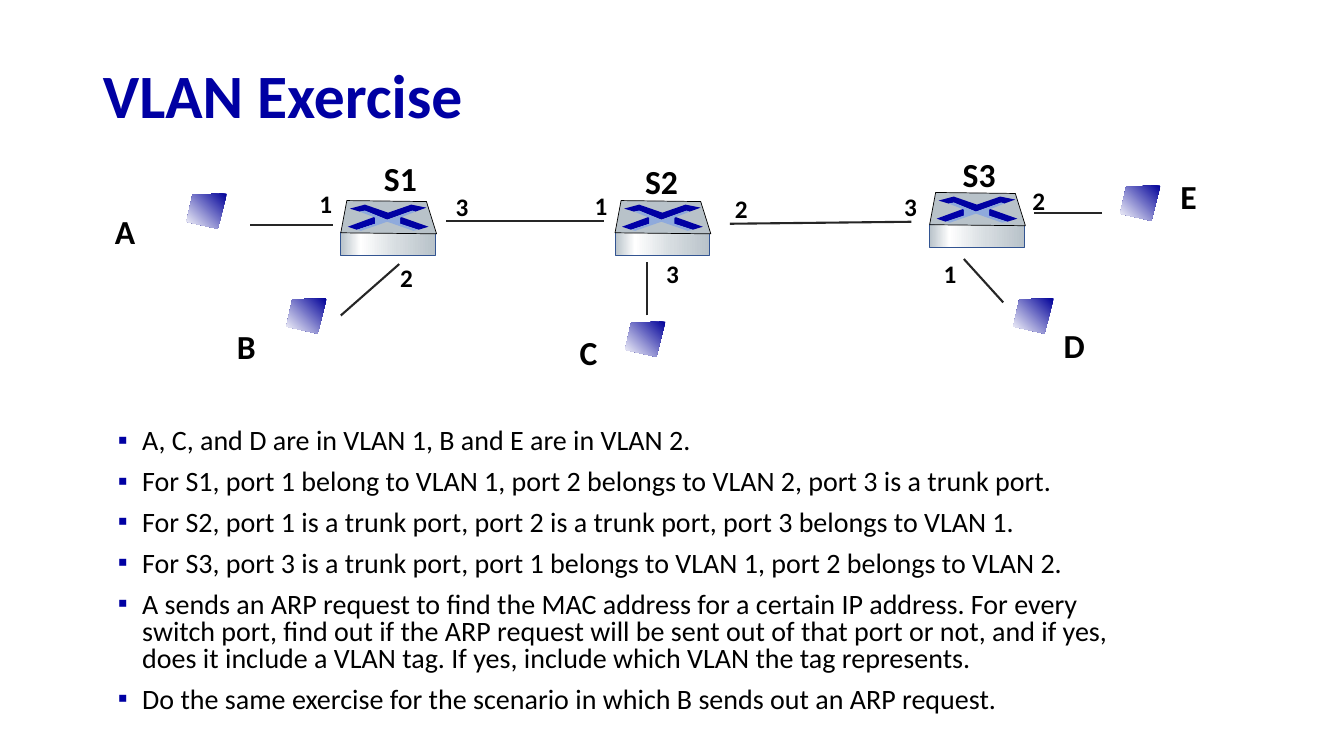
from lxml.etree import SubElement
from pptx import Presentation
from pptx.dml.color import RGBColor
from pptx.enum.shapes import MSO_CONNECTOR, MSO_SHAPE
from pptx.enum.text import MSO_ANCHOR, MSO_AUTO_SIZE, PP_ALIGN
from pptx.oxml.ns import qn
from pptx.util import Inches, Pt

FONT = "Calibri"
COLORS = {
    "title": "0000A3", "text": "000000", "wire": "262626",
    "host": "000099", "white": "FFFFFF", "lid": "B8C2C9",
    "shine": "D6DCE0", "edge": "325491", "arrow": "0000A3",
    "dark": "0000A8", "cross": "8FAADC",
}

HOST = [(0.4, 0), (0.06, 0.01), (0, 0.28), (0.31, 0.35)]
LID = [(0, 0.32), (0.06, 0), (0.85, 0.01), (0.95, 0.33)]
TOP = [(0.7, 0.04), (0.85, 0.07), (0.74, 0.11), (0.71, 0.1), (0.46, 0.19),
       (0.24, 0.1), (0.19, 0.11), (0.09, 0.08), (0.24, 0.04), (0.47, 0.12)]
RIGHT = [(0.59, 0.16), (0.87, 0.26), (0.77, 0.29), (0.58, 0.23)]
LEFT = [(0.34, 0.16), (0.34, 0.23), (0.16, 0.29), (0.07, 0.26)]
CROSS = [(0.19, 0.11), (0.24, 0.1), (0.46, 0.19), (0.71, 0.1), (0.74, 0.11),
         (0.59, 0.17), (0.59, 0.23), (0.77, 0.29), (0.72, 0.3), (0.46, 0.21),
         (0.2, 0.3), (0.16, 0.29), (0.34, 0.23), (0.34, 0.17)]

HOSTS = [(1.85, 1.92), (2.84, 2.96), (6.2, 3.19), (10.05, 2.96), (11.11, 1.84)]
SWITCHES = [(3.38, 1.99), (6.1, 1.99), (9.22, 1.91)]
WIRES = [
    (3.3, 2.23, 2.48, 2.23), (3.96, 2.62, 3.38, 3.13),
    (5.99, 2.19, 4.42, 2.19), (9.04, 2.2, 7.24, 2.22),
    (9.95, 3, 9.56, 2.57), (10.93, 2.11, 10.26, 2.11),
    (6.42, 3.13, 6.42, 2.6),
]
PORTS = [
    ("1", 3.07, 1.82), ("2", 3.87, 2.55), ("3", 4.42, 1.85),
    ("1", 5.8, 1.84), ("2", 7.19, 1.87), ("3", 6.51, 2.51),
    ("3", 8.87, 1.85), ("1", 9.26, 2.51), ("2", 10.14, 1.79),
]
NAMES = [
    ("A", 1.04, 2.04), ("B", 2.25, 3.18), ("S1", 3.71, 1.52),
    ("S2", 6.3, 1.55), ("S3", 9.45, 1.48), ("C", 5.65, 3.24),
    ("D", 10.45, 3.17), ("E", 11.61, 1.7),
]
TASKS = [
    "A, C, and D are in VLAN 1, B and E are in VLAN 2.",
    "For S1, port 1 belong to VLAN 1, port 2 belongs to VLAN 2, port 3 is a trunk port.",
    "For S2, port 1 is a trunk port, port 2 is a trunk port, port 3 belongs to VLAN 1.",
    "For S3, port 3 is a trunk port, port 1 belongs to VLAN 1, port 2 belongs to VLAN 2.",
    "A sends an ARP request to find the MAC address for a certain IP address. "
    "For every switch port, find out if the ARP request will be sent out of that "
    "port or not, and if yes, does it include a VLAN tag. If yes, include which "
    "VLAN the tag represents.",
    "Do the same exercise for the scenario in which B sends out an ARP request.",
]


def rgb(name):
    return RGBColor.from_string(COLORS[name])


def write(par, text, size, color="text", bold=False, space=None, before=0):
    par.alignment = PP_ALIGN.LEFT
    par.space_before = Pt(before)
    if space:
        par.line_spacing = space
    run = par.add_run()
    run.text = text
    font = run.font
    font.name, font.size, font.bold = FONT, Pt(size), bold
    font.color.rgb = rgb(color)


def place(shape, left, top, width, height):
    shape.left, shape.top = Inches(left), Inches(top)
    shape.width, shape.height = Inches(width), Inches(height)


def shade(shape, stops, angle):
    """Fill with a gradient of (percent, colour) stops."""
    shape.fill.gradient()
    shape.fill.gradient_angle = angle
    ramp = shape._element.spPr.find(".//" + qn("a:gsLst"))
    for old in list(ramp):
        ramp.remove(old)
    for spot, color in stops:
        stop = SubElement(ramp, qn("a:gs"), pos=str(spot * 1000))
        SubElement(stop, qn("a:srgbClr"), val=COLORS[color])


def trim(shape, line=None):
    """Drop the shadow and set a thin outline or none."""
    shape.shadow.inherit = False
    if line:
        shape.line.color.rgb = rgb(line)
        shape.line.width = Pt(0.5)
    else:
        shape.line.fill.background()


def outline(shapes, left, top, points, fill=None, line=None):
    spots = [(Inches(left + x), Inches(top + y)) for x, y in points]
    pen = shapes.build_freeform(*spots[0])
    pen.add_line_segments(spots[1:], close=True)
    shape = pen.convert_to_shape()
    trim(shape, line)
    if fill:
        shape.fill.solid()
        shape.fill.fore_color.rgb = rgb(fill)
    return shape


def add_host(shapes, left, top):
    host = outline(shapes, left, top, HOST)
    shade(host, [(0, "host"), (100, "white")], 225)


def add_switch(shapes, left, top):
    front = shapes.add_shape(MSO_SHAPE.RECTANGLE, Inches(left), Inches(top + 0.32),
                             Inches(0.94), Inches(0.22))
    trim(front, "edge")
    shade(front, [(0, "lid"), (21, "white"), (60, "shine"), (100, "lid")], 0)
    outline(shapes, left, top, LID, "lid", "text")
    for points, fill in ((TOP, "arrow"), (RIGHT, "arrow"),
                         (LEFT, "dark"), (CROSS, "cross")):
        outline(shapes, left, top, points, fill)


def add_wire(shapes, *ends):
    wire = shapes.add_connector(MSO_CONNECTOR.STRAIGHT, *map(Inches, ends))
    wire.line.color.rgb = rgb("wire")
    wire.line.width = Pt(1.5)
    SubElement(wire._element.spPr, qn("a:effectLst"))


def add_label(shapes, text, left, top, width, height, size, wrap):
    box = shapes.add_textbox(*map(Inches, (left, top, width, height)))
    frame = box.text_frame
    frame.word_wrap = wrap
    frame.auto_size = MSO_AUTO_SIZE.SHAPE_TO_FIT_TEXT
    write(frame.paragraphs[0], text, size, bold=True)


def add_title(slide):
    title = slide.shapes.title
    place(title, 0.92, 0.49, 11.5, 0.98)
    frame = title.text_frame
    frame.auto_size = MSO_AUTO_SIZE.NONE
    frame.vertical_anchor = MSO_ANCHOR.MIDDLE
    write(frame.paragraphs[0], "VLAN Exercise", 44, "title", bold=True, space=0.9)


def add_bullet(par):
    props = par._p.get_or_add_pPr()
    props.set("marL", str(Inches(0.39)))
    props.set("indent", str(Inches(-0.24)))
    tint = SubElement(props, qn("a:buClr"))
    SubElement(tint, qn("a:srgbClr"), val=COLORS["title"])
    SubElement(props, qn("a:buChar"), char="▪")


def add_tasks(slide):
    body = slide.placeholders[1]
    place(body, 0.92, 4.21, 10.46, 3.15)
    frame = body.text_frame
    frame.auto_size = MSO_AUTO_SIZE.NONE
    for i, task in enumerate(TASKS):
        par = frame.add_paragraph() if i else frame.paragraphs[0]
        add_bullet(par)
        write(par, task, 20, space=0.8, before=10 if i else 0)


def main():
    deck = Presentation()
    deck.slide_width, deck.slide_height = Inches(13.33), Inches(7.5)
    slide = deck.slides.add_slide(deck.slide_layouts[1])
    shapes = slide.shapes
    add_title(slide)
    for spot in HOSTS:
        add_host(shapes, *spot)
    for spot in SWITCHES:
        add_switch(shapes, *spot)
    for ends in WIRES:
        add_wire(shapes, *ends)
    for port in PORTS:
        add_label(shapes, *port, 0.33, 0.4, size=18, wrap=False)
    for name in NAMES:
        add_label(shapes, *name, 0.61, 0.5, size=24, wrap=True)
    add_tasks(slide)
    deck.save("out.pptx")


if __name__ == "__main__":
    main()
